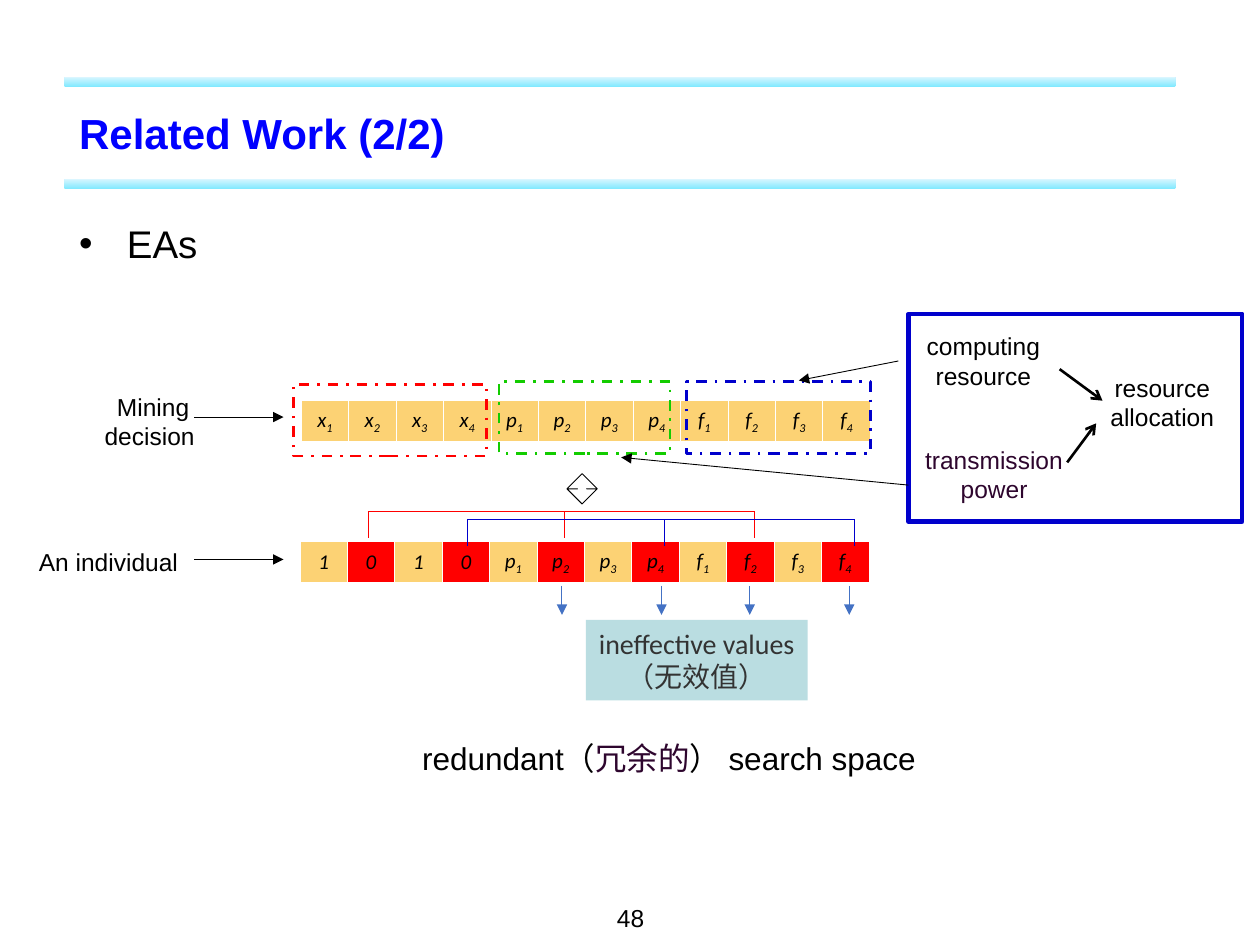
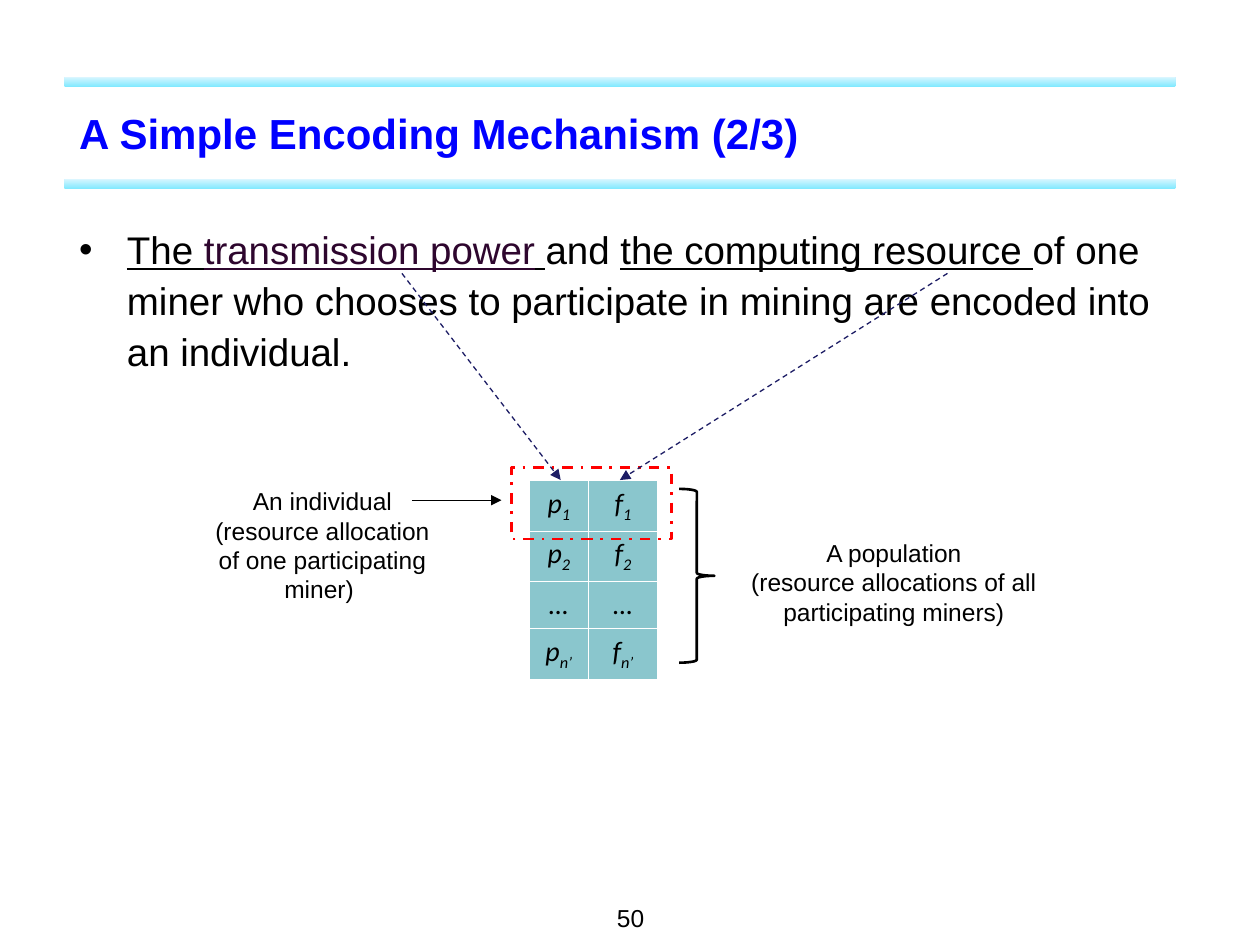
from lxml.etree import SubElement
from pptx import Presentation
from pptx.dml.color import RGBColor
from pptx.enum.dml import MSO_LINE as Dash
from pptx.enum.shapes import MSO_CONNECTOR as Connector, MSO_SHAPE as Shape
from pptx.enum.text import MSO_ANCHOR as Anchor, PP_ALIGN as Align
from pptx.oxml import parse_xml
from pptx.oxml.ns import nsdecls, qn
from pptx.util import Inches, Pt

BLACK = RGBColor(0x00, 0x00, 0x00)
WHITE = RGBColor(0xFF, 0xFF, 0xFF)
GRAY = RGBColor(0x33, 0x33, 0x33)
TITLE_BLUE = RGBColor(0x00, 0x00, 0xFF)
FRAME_BLUE = RGBColor(0x00, 0x00, 0xCC)
ARROW_BLUE = RGBColor(0x44, 0x72, 0xC4)
NAVY = RGBColor(0x1D, 0x1D, 0x65)
RED = RGBColor(0xFF, 0x00, 0x00)
GREEN = RGBColor(0x13, 0xCC, 0x00)
PLUM = RGBColor(0x2E, 0x06, 0x2E)
GENE = RGBColor(0xFC, 0xD2, 0x74)
TEAL = RGBColor(0x8A, 0xC6, 0xCD)
PALE_TEAL = RGBColor(0xBA, 0xDD, 0xE1)
BAND_DARK = RGBColor(0x80, 0xE9, 0xFF)
BAND_LIGHT = RGBColor(0xDA, 0xF6, 0xFF)

# Content: a paragraph is a list of (text, style) spans
EAS = [("EAs", {})]
ENCODING = [
    ("The ", {"underline": True}),
    ("transmission power", {"underline": True, "color": PLUM}),
    (" ", {"underline": True}),
    ("and ", {}),
    ("the computing resource ", {"underline": True}),
    ("of one miner who chooses to participate in mining are encoded "
     "into an individual.", {}),
]
REDUNDANT = [("redundant（", {}), ("冗余的", {"color": PLUM}), ("） search space", {})]

# In each cell the first letter is the symbol, the rest its subscript
POWERS_AND_RESOURCES = [letter + str(n) for letter in "pf" for n in range(1, 5)]
DECISION_GENES = ["x1", "x2", "x3", "x4"] + POWERS_AND_RESOURCES
INDIVIDUAL_GENES = ["1", "0", "1", "0"] + POWERS_AND_RESOURCES
POPULATION = [["p1", "f1"], ["p2", "f2"], ["…", "…"], ["pn’", "fn’"]]

GENE_FRAMES = [  # left, top, width, colour
    (2.33, 3.05, 1.53, RED),
    (3.96, 3.03, 1.36, GREEN),
    (5.45, 3.03, 1.46, FRAME_BLUE),
]
BRACKETS = [  # top, tick positions, colour
    (4.06, (2.92, 4.48, 5.99), RED),
    (4.12, (3.71, 5.27, 6.78), FRAME_BLUE),
]
INEFFECTIVE_AT = (4.46, 5.25, 5.95, 6.74)


def inches(values):
    return [Inches(value) for value in values]


def plain(*texts):
    return [[(text, {})] for text in texts]


def add_text(page, at, paragraphs, size=14, font="Arial", color=BLACK,
             bold=False, align=Align.CENTER, anchor=Anchor.TOP, wrap=True):
    box = page.shapes.add_textbox(*inches(at))
    frame = box.text_frame
    frame.word_wrap = wrap
    frame.vertical_anchor = anchor
    for index, spans in enumerate(paragraphs):
        para = frame.add_paragraph() if index else frame.paragraphs[0]
        para.alignment = align
        for text, style in spans:
            span = para.add_run()
            span.text = text
            span.font.name = font
            span.font.size = Pt(size)
            span.font.bold = bold
            span.font.underline = style.get("underline", False)
            span.font.color.rgb = style.get("color", color)
    return box


def add_bullet(page, at, spans, line_spacing=1.0):
    box = add_text(page, at, [spans], size=22, align=Align.LEFT)
    para = box.text_frame.paragraphs[0]
    para.line_spacing = line_spacing
    props = para._p.get_or_add_pPr()
    props.set("marL", str(Inches(0.38)))
    props.set("indent", str(-Inches(0.38)))
    bullet_color = SubElement(props, qn("a:buClr"))
    SubElement(bullet_color, qn("a:srgbClr"), val=str(BLACK))
    SubElement(props, qn("a:buFont"), typeface="Arial")
    SubElement(props, qn("a:buChar"), char="•")


def add_outline(page, kind, at, color, width, dash=None):
    shape = page.shapes.add_shape(kind, *inches(at))
    shape.shadow.inherit = False
    shape.fill.background()
    shape.line.color.rgb = color
    shape.line.width = Pt(width)
    shape.line.dash_style = dash
    return shape


def add_line(shapes, start, end, color=BLACK, width=0.5, head=None, dash=None):
    line = shapes.add_connector(Connector.STRAIGHT, *inches(start + end))
    line.line.color.rgb = color
    line.line.width = Pt(width)
    line.line.dash_style = dash
    if head:
        SubElement(line.line._ln, qn("a:tailEnd"), type=head)
    SubElement(line._element.spPr, qn("a:effectLst"))
    return line


def add_grid(page, left, top, rows, widths, heights, size, fills, bottom=0.45):
    """Table of italic symbols; column fills repeat in turn."""
    at = inches((left, top, sum(widths), sum(heights)))
    table = page.shapes.add_table(len(rows), len(widths), *at).table
    table.first_row = table.horz_banding = False
    for column, width in zip(table.columns, widths):
        column.width = Inches(width)
    for row, height, symbols in zip(table.rows, heights, rows):
        row.height = Inches(height)
        for index, (cell, symbol) in enumerate(zip(row.cells, symbols)):
            cell.fill.solid()
            cell.fill.fore_color.rgb = fills[index % len(fills)]
            cell.vertical_anchor = Anchor.MIDDLE
            cell.margin_left = cell.margin_right = Inches(0.05)
            para = cell.text_frame.paragraphs[0]
            para.alignment = Align.CENTER
            for text, baseline in ((symbol[0], 0), (symbol[1:], -25000)):
                if text:
                    span = para.add_run()
                    span.text = text
                    span.font.name = "Calibri"
                    span.font.size = Pt(size)
                    span.font.italic = True
                    span.font.color.rgb = BLACK
                    span.font._element.set("baseline", str(baseline))
            # White borders go ahead of the cell fill
            props = cell._tc.get_or_add_tcPr()
            for place, side in enumerate("LRTB"):
                width = Pt(bottom if side == "B" else 0.45)
                props.insert(place, parse_xml(
                    f'<a:ln{side} {nsdecls("a")} w="{width}"><a:solidFill>'
                    f'<a:srgbClr val="{WHITE}"/></a:solidFill></a:ln{side}>'))


def add_page(deck, title, number):
    page = deck.slides.add_slide(deck.slide_layouts[6])
    # Bands above and below the title
    for top in (1.42, 0.61):
        band = page.shapes.add_shape(Shape.ROUNDED_RECTANGLE,
                                     *inches((0.51, top, 8.82, 0.08)))
        band.shadow.inherit = False
        band.line.fill.background()
        band.fill.gradient()
        band.fill.gradient_angle = 90
        stops = zip(band.fill.gradient_stops, (0, 1), (BAND_DARK, BAND_LIGHT))
        for stop, position, color in stops:
            stop.position = position
            stop.color.rgb = color
    add_text(page, (0.53, 0.82, 8.96, 0.47), plain(title), size=24, bold=True,
             color=TITLE_BLUE, align=Align.LEFT, anchor=Anchor.MIDDLE)
    add_text(page, (3.42, 7.12, 3.17, 0.38), plain(str(number)))
    return page


def build_related_work(deck):
    page = add_page(deck, "Related Work (2/2)", 48)
    add_bullet(page, (0.53, 1.7, 9.04, 0.5), EAS)

    # Ineffective values below the individual
    for x in INEFFECTIVE_AT:
        add_line(page.shapes, (x, 4.65), (x, 4.88), ARROW_BLUE, head="triangle")
    note = add_text(page, (4.65, 4.92, 1.76, 0.64),
                    plain("ineffective values", "（无效值）"), size=16,
                    font="Calibri", color=GRAY, wrap=False)
    note.fill.solid()
    note.fill.fore_color.rgb = PALE_TEAL

    # Gene rows
    widths = [4.52 / 12] * 12
    add_grid(page, 2.38, 4.3, [INDIVIDUAL_GENES], widths, [0.32], 12,
             (GENE, RED), bottom=1.47)
    add_grid(page, 2.39, 3.18, [DECISION_GENES], widths, [0.32], 12,
             (GENE,), bottom=1.47)
    swap = add_outline(page, Shape.UP_DOWN_ARROW, (4.5, 3.76, 0.24, 0.24), BLACK, 0.5)
    swap.fill.solid()
    swap.fill.fore_color.rgb = WHITE
    swap.adjustments[0] = swap.adjustments[1] = 0.3
    for left, top, width, color in GENE_FRAMES:
        add_outline(page, Shape.RECTANGLE, (left, top, width, 0.57), color, 1.5,
                    Dash.DASH_DOT)

    # Brackets tying each skipped decision to its values
    for top, ticks, color in BRACKETS:
        bracket = page.shapes.add_group_shape().shapes
        add_line(bracket, (ticks[0], top), (ticks[-1], top), color, 0.25)
        for x in ticks:
            add_line(bracket, (x, top + 0.21), (x, top), color, 0.25)

    # Row labels
    add_text(page, (0.59, 3.06, 1.25, 0.57), plain("Mining", "decision "))
    add_text(page, (0.21, 4.29, 1.58, 0.34), plain("An individual"), align=Align.LEFT)
    for y in (3.31, 4.44):
        add_line(page.shapes, (1.54, y), (2.25, y), head="triangle")

    # Resource allocation
    computing = add_text(page, (7.13, 2.58, 1.35, 0.57), plain("computing resource"))
    add_text(page, (7.21, 3.48, 1.36, 0.57), plain("transmission power"), color=PLUM)
    add_text(page, (8.66, 2.91, 1.13, 0.57), plain("resource allocation"))
    add_outline(page, Shape.RECTANGLE, (7.21, 2.49, 2.65, 1.65), FRAME_BLUE, 2.5)
    pointer = add_line(page.shapes, (7.13, 2.86), (6.34, 3.02), head="triangle")
    pointer.begin_connect(computing, 1)
    add_line(page.shapes, (7.21, 3.85), (4.93, 3.63), head="triangle")
    for start, end in (((8.41, 2.93), (8.75, 3.18)), ((8.47, 3.67), (8.7, 3.36))):
        add_line(page.shapes, start, end, width=1.5, head="arrow")

    add_text(page, (2.81, 5.82, 5, 0.4), [REDUNDANT], size=18)


def build_encoding(deck):
    page = add_page(deck, "A Simple Encoding Mechanism (2/3)", 50)
    add_bullet(page, (0.53, 1.71, 9.04, 1.38), ENCODING, line_spacing=1.1)

    # Population table
    add_grid(page, 4.2, 3.81, POPULATION, [0.47, 0.55], [0.4, 0.4, 0.37, 0.4],
             16, (TEAL,))

    # One individual
    add_text(page, (1.61, 3.81, 1.9, 1.04),
             plain("An individual", "(resource allocation of one participating miner) "))
    add_line(page.shapes, (3.27, 3.97), (3.98, 3.97), head="triangle")
    add_outline(page, Shape.RECTANGLE, (4.06, 3.71, 1.27, 0.57), RED, 1.5, Dash.DASH_DOT)

    # Whole population
    add_outline(page, Shape.RIGHT_BRACE, (5.39, 3.88, 0.28, 1.38), BLACK, 1.5)
    add_text(page, (5.71, 4.22, 2.77, 0.8),
             plain("A population", "(resource allocations of all participating miners)"))

    # From the sentence to its columns
    for start, end in (((3.19, 2.17), (4.45, 3.81)), ((7.52, 2.17), (4.92, 3.81))):
        add_line(page.shapes, start, end, NAVY, 0.75, "triangle", Dash.DASH)


def main():
    deck = Presentation()
    deck.slide_width, deck.slide_height = Inches(10), Inches(7.5)
    build_related_work(deck)
    build_encoding(deck)
    deck.save("out.pptx")


if __name__ == "__main__":
    main()
